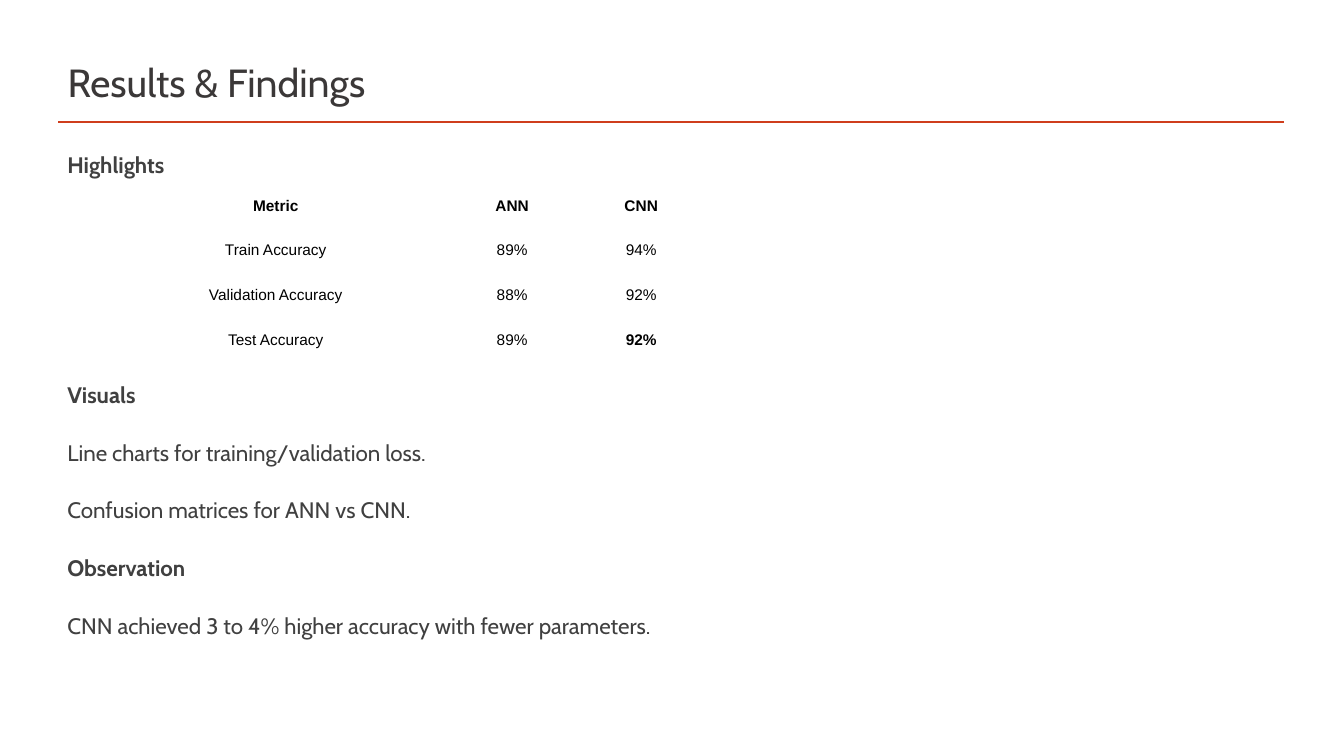
"""Build the results slide with its title, metric table and findings."""
from dataclasses import dataclass

from lxml import etree
from pptx import Presentation
from pptx.dml.color import RGBColor
from pptx.enum.shapes import MSO_CONNECTOR
from pptx.enum.text import MSO_ANCHOR, MSO_AUTO_SIZE, PP_ALIGN
from pptx.oxml.ns import qn
from pptx.slide import Slide
from pptx.text.text import TextFrame, _Paragraph
from pptx.util import Pt

LEFT, CENTER = PP_ALIGN.LEFT, PP_ALIGN.CENTER
TOP, MIDDLE = MSO_ANCHOR.TOP, MSO_ANCHOR.MIDDLE
NO_FIT = MSO_AUTO_SIZE.NONE
STRAIGHT = MSO_CONNECTOR.STRAIGHT
SCALE = 9144
COLORS = {"title": "3B3838", "body": "404040", "cell": "000000", "rule": "CF3D1C"}


@dataclass(frozen=True)
class Style:
    font: str
    size: int
    color: str


@dataclass(frozen=True)
class Item:
    text: str
    bold: bool = False
    before: int = 10


HEAD = Style("Cabin", 28, "title")
BODY = Style("Cabin", 16, "body")
CELL = Style("Arial", 11, "cell")

ITEMS = [
    Item("Highlights", True, 0),
    Item("Visuals", True, 133),
    Item("Line charts for training/validation loss."),
    Item("Confusion matrices for ANN vs CNN."),
    Item("Observation", True),
    Item("CNN achieved 3 to 4% higher accuracy with fewer parameters."),
]
COLS = [343, 126, 130]
ROWS = [43, 45, 45, 45]
DATA = [
    ["Metric", "ANN", "CNN"],
    ["Train Accuracy", "89%", "94%"],
    ["Validation Accuracy", "88%", "92%"],
    ["Test Accuracy", "89%", "92%"],
]
BEST = (3, 2)


def px(count: int) -> int:
    """Turn px into EMU."""
    return count * SCALE


def add_run(para: _Paragraph, text: str, style: Style, bold: bool = False) -> None:
    """Add one styled run to a paragraph."""
    run = para.add_run()
    run.text = text
    run.font.name = style.font
    run.font.size = Pt(style.size)
    run.font.bold = bold
    run.font.color.rgb = RGBColor.from_string(COLORS[style.color])


def set_frame(frame: TextFrame, anchor: MSO_ANCHOR) -> None:
    """Wrap the text at a fixed size."""
    frame.word_wrap = True
    frame.auto_size = NO_FIT
    frame.vertical_anchor = anchor


def add_title(slide: Slide, text: str) -> None:
    """Place and fill the title."""
    title = slide.shapes.title
    title.left, title.top, title.width, title.height = map(px, (57, 49, 1226, 70))
    set_frame(title.text_frame, MIDDLE)
    para = title.text_frame.paragraphs[0]
    para.alignment = LEFT
    para.line_spacing = 0.9
    add_run(para, text, HEAD)


def add_rule(slide: Slide) -> None:
    """Draw the line under the title."""
    rule = slide.shapes.add_connector(STRAIGHT, *map(px, (58, 121, 1274, 121)))
    rule.line.color.rgb = RGBColor.from_string(COLORS["rule"])
    rule.line.width = Pt(2)
    etree.SubElement(rule._element.spPr, qn("a:effectLst"))


def add_body(slide: Slide) -> None:
    """Write the findings, with room for the table under the first."""
    frame = slide.shapes.add_textbox(*map(px, (57, 145, 997, 435))).text_frame
    set_frame(frame, TOP)
    for index, item in enumerate(ITEMS):
        para = frame.add_paragraph() if index else frame.paragraphs[0]
        para.space_before = Pt(item.before)
        para.space_after = Pt(12)
        add_run(para, item.text, BODY, item.bold)


def add_grid(slide: Slide) -> None:
    """Add the plain table of accuracy values."""
    place = map(px, (102, 187, sum(COLS), sum(ROWS)))
    table = slide.shapes.add_table(len(ROWS), len(COLS), *place).table
    table.first_row = table.horz_banding = False
    for col, width in zip(table.columns, COLS):
        col.width = px(width)
    for row, height in zip(table.rows, ROWS):
        row.height = px(height)
    for r, line in enumerate(DATA):
        for c, text in enumerate(line):
            cell = table.cell(r, c)
            cell.fill.background()
            cell.vertical_anchor = TOP
            cell.margin_left = cell.margin_right = px(7)
            cell.margin_top = cell.margin_bottom = px(7)
            para = cell.text_frame.paragraphs[0]
            para.alignment = CENTER
            para.line_spacing = 1.14
            add_run(para, text, CELL, r == 0 or (r, c) == BEST)


def main() -> None:
    """Build and save the slide."""
    deck = Presentation()
    deck.slide_width, deck.slide_height = px(1333), px(750)
    slide = deck.slides.add_slide(deck.slide_layouts.get_by_name("Title Only"))
    add_rule(slide)
    add_title(slide, "Results & Findings")
    add_body(slide)
    add_grid(slide)
    deck.save("out.pptx")


if __name__ == "__main__":
    main()
